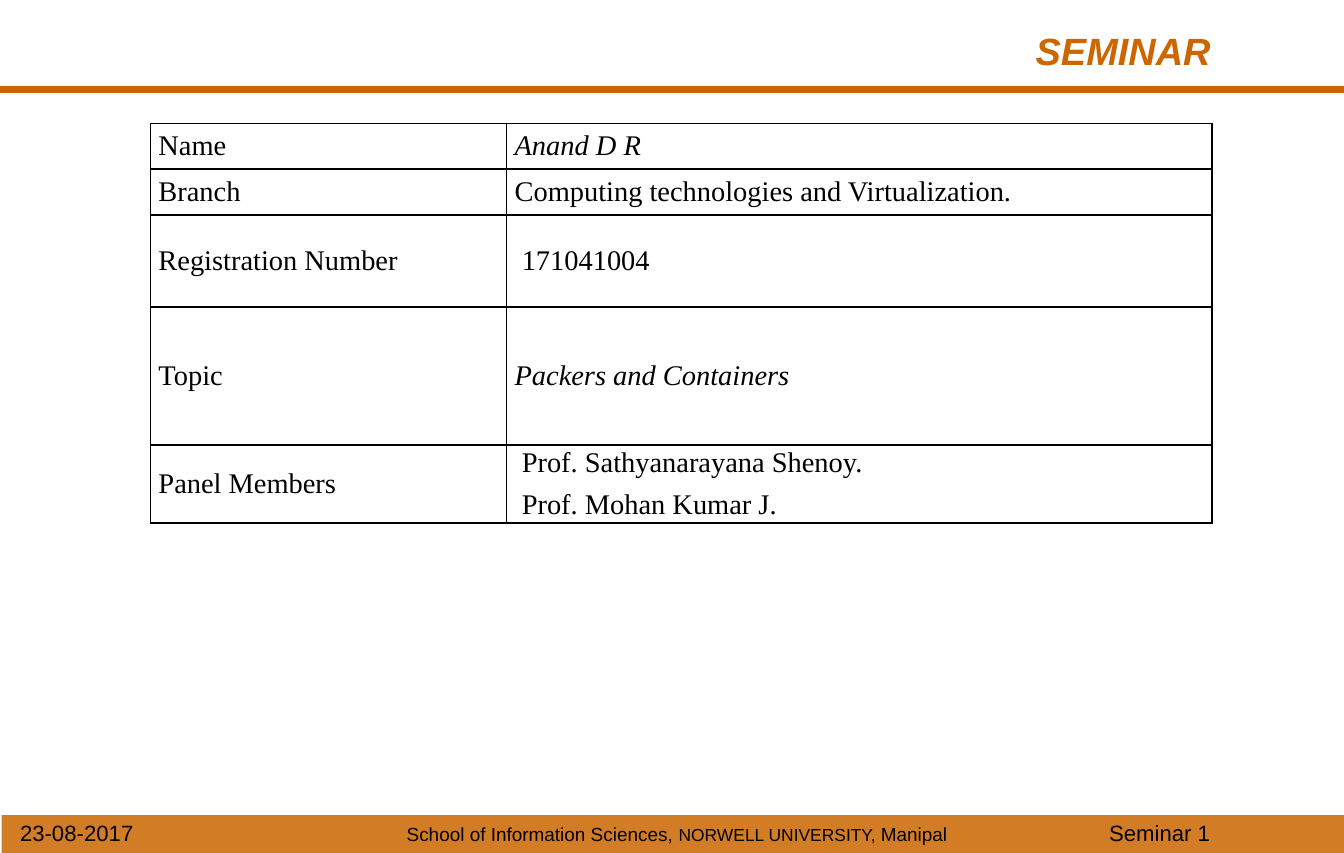
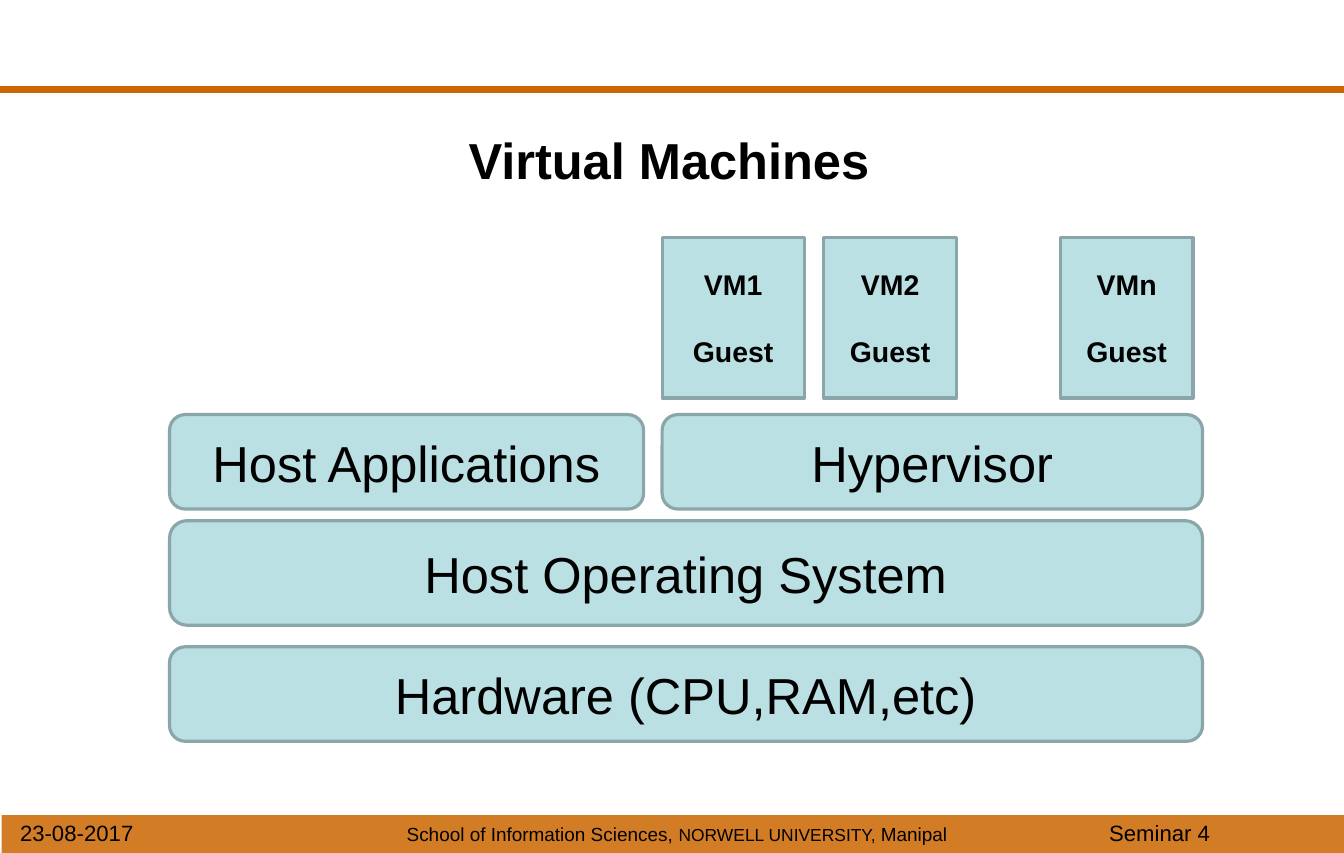
from typing import NamedTuple

from lxml.etree import SubElement
from pptx import Presentation
from pptx.dml.color import RGBColor
from pptx.enum.shapes import MSO_CONNECTOR, MSO_SHAPE
from pptx.enum.text import MSO_ANCHOR, MSO_AUTO_SIZE, PP_ALIGN
from pptx.oxml.ns import qn
from pptx.util import Pt

COLOURS = {"accent": "CC6600", "text": "000000", "block": "BBE0E3", "outline": "8AA6A8"}
SLIDE_WIDTH, SLIDE_HEIGHT = 850.5, 540
RULE_TOP = 56.8
DATE = "23-08-2017"
SCHOOL = (("School of Information Sciences, ", 12), ("NORWELL UNIVERSITY, ", 11), ("Manipal", 12))


class Box(NamedTuple):
    left: float
    top: float
    width: float
    height: float


class Block(NamedTuple):
    lines: tuple
    box: Box
    kind: MSO_SHAPE = MSO_SHAPE.ROUNDED_RECTANGLE
    size: float = 32
    bold: bool = False


class Row(NamedTuple):
    label: str
    lines: tuple
    height: float
    italic: bool = False
    inset: float = 5


TITLE_BOX = Box(197.3, 13.7, 576, 36.7)
HEADING_BOX = Box(41.3, 77.8, 764.4, 90)
TABLE_LEFT, TABLE_TOP = 95.3, 78
COLUMN_WIDTHS = (225.4, 446.4)
ROW_UNIT = 29.1
ROWS = (
    Row("Name", ("Anand D R",), ROW_UNIT, italic=True),
    Row("Branch", ("Computing technologies and Virtualization.",), ROW_UNIT),
    Row("Registration Number", ("171041004",), 2 * ROW_UNIT, inset=9.5),
    Row("Topic", ("Packers and Containers",), 3 * ROW_UNIT, italic=True),
    Row("Panel Members", ("Prof. Sathyanarayana Shenoy.", "Prof. Mohan Kumar J."), 49.3, inset=9.5),
)

STACK_LEFT, STACK_WIDTH = 107.3, 653.7
HYPERVISOR_LEFT = 419
LAYER_HEIGHT = 59.8
LAYERS = (
    Block(("Hardware (CPU,RAM,etc)",), Box(STACK_LEFT, 409.5, STACK_WIDTH, LAYER_HEIGHT)),
    Block(("Host Operating System",), Box(STACK_LEFT, 329.6, STACK_WIDTH, 66.2)),
    Block(("Hypervisor",), Box(HYPERVISOR_LEFT, 262.5, 342, LAYER_HEIGHT)),
    Block(("Host Applications",), Box(STACK_LEFT, 262.5, 300, LAYER_HEIGHT)),
)
MACHINES = tuple(
    Block((name, "Guest"), Box(left, 150.5, width, 101.5), MSO_SHAPE.RECTANGLE, 18, True)
    for name, left, width in (("VM1", HYPERVISOR_LEFT, 90), ("VM2", 521.3, 84), ("VMn", 671, 84))
)


def colour(name: str) -> RGBColor:
    return RGBColor.from_string(COLOURS[name])


def points(box: Box) -> tuple:
    return tuple(Pt(value) for value in box)


def write_text(frame, *lines, size=14, font="Arial", ink="text", bold=False, italic=False,
               align=PP_ALIGN.LEFT, before=0, gap=0, after=0) -> None:
    for index, line in enumerate(lines):
        paragraph = frame.add_paragraph() if index else frame.paragraphs[0]
        paragraph.alignment = align
        paragraph.space_before = Pt(gap if index else before)
        paragraph.space_after = Pt(after)
        parts = ((line, size),) if isinstance(line, str) else line
        for text, part_size in parts:
            run = paragraph.add_run()
            run.text = text
            run.font.size = Pt(part_size)
            run.font.name = font
            run.font.bold = bold
            run.font.italic = italic
            run.font.color.rgb = colour(ink)


def add_label(slide, box: Box, line, **text_format) -> None:
    frame = slide.shapes.add_textbox(*points(box)).text_frame
    frame.word_wrap = True
    write_text(frame, line, **text_format)


def set_title(slide, box: Box, text: str, **text_format) -> None:
    title = slide.shapes.title
    title.left, title.top, title.width, title.height = points(box)
    frame = title.text_frame
    frame.auto_size = MSO_AUTO_SIZE.NONE
    frame.vertical_anchor = MSO_ANCHOR.TOP
    write_text(frame, text, bold=True, **text_format)


def add_slide(presentation, number: int):
    slide = presentation.slides.add_slide(presentation.slide_layouts[5])
    rule = slide.shapes.add_connector(
        MSO_CONNECTOR.STRAIGHT, Pt(0), Pt(RULE_TOP), Pt(852.5), Pt(RULE_TOP))
    rule.line.color.rgb = colour("accent")
    rule.line.width = Pt(4.5)
    SubElement(rule._element.spPr, qn("a:effectLst"))

    band = slide.shapes.add_shape(
        MSO_SHAPE.RECTANGLE, *points(Box(1, 516, SLIDE_WIDTH, SLIDE_HEIGHT - 516)))
    band.shadow.inherit = False
    band.fill.solid()
    band.fill.fore_color.rgb = colour("accent")
    band.line.fill.background()
    fill_colour = band._element.spPr.find(qn("a:solidFill"))[0]
    SubElement(fill_colour, qn("a:alpha")).set("val", "85000")

    add_label(slide, Box(205.2, 517.2, 446.4, 22.3), SCHOOL, align=PP_ALIGN.CENTER)
    add_label(slide, Box(5.6, 515.5, 95.8, 24.5), DATE)
    add_label(slide, Box(694.8, 515.5, 154.8, 24.5), f"Seminar {number}")
    return slide


def set_borders(cell) -> None:
    properties = cell._tc.get_or_add_tcPr()
    for index, side in enumerate(("lnL", "lnR", "lnT", "lnB")):
        border = properties.makeelement(qn(f"a:{side}"), {"w": str(Pt(1))})
        fill = SubElement(border, qn("a:solidFill"))
        SubElement(fill, qn("a:srgbClr")).set("val", COLOURS["text"])
        properties.insert(index, border)


def format_cell(cell, *lines: str, italic: bool = False, inset: float = 5) -> None:
    cell.margin_left, cell.margin_right = Pt(inset), Pt(5)
    cell.margin_top = cell.margin_bottom = Pt(0)
    cell.vertical_anchor = MSO_ANCHOR.MIDDLE
    cell.fill.background()
    set_borders(cell)
    write_text(cell.text_frame, *lines, size=18, font="Times New Roman", italic=italic,
               before=3.1, gap=3.1, after=3.1)


def add_details(slide) -> None:
    box = Box(TABLE_LEFT, TABLE_TOP, sum(COLUMN_WIDTHS), sum(row.height for row in ROWS))
    table = slide.shapes.add_table(len(ROWS), len(COLUMN_WIDTHS), *points(box)).table
    table.first_row = table.horz_banding = False
    for column, width in zip(table.columns, COLUMN_WIDTHS):
        column.width = Pt(width)
    for index, row in enumerate(ROWS):
        table.rows[index].height = Pt(row.height)
        format_cell(table.cell(index, 0), row.label)
        format_cell(table.cell(index, 1), *row.lines, italic=row.italic, inset=row.inset)


def add_block(slide, block: Block) -> None:
    shape = slide.shapes.add_shape(block.kind, *points(block.box))
    shape.shadow.inherit = False
    shape.fill.solid()
    shape.fill.fore_color.rgb = colour("block")
    shape.line.color.rgb = colour("outline")
    shape.line.width = Pt(2)
    frame = shape.text_frame
    frame.word_wrap = True
    frame.vertical_anchor = MSO_ANCHOR.MIDDLE
    write_text(frame, *block.lines, size=block.size, bold=block.bold,
               align=PP_ALIGN.CENTER, gap=21)


def main() -> None:
    presentation = Presentation()
    presentation.slide_width, presentation.slide_height = Pt(SLIDE_WIDTH), Pt(SLIDE_HEIGHT)

    seminar = add_slide(presentation, 1)
    set_title(seminar, TITLE_BOX, "SEMINAR", size=24, ink="accent", italic=True,
              align=PP_ALIGN.RIGHT)
    add_details(seminar)

    machines = add_slide(presentation, 4)
    set_title(machines, HEADING_BOX, "Virtual Machines", size=32, align=PP_ALIGN.CENTER)
    for block in LAYERS + MACHINES:
        add_block(machines, block)

    presentation.save("out.pptx")


if __name__ == "__main__":
    main()
